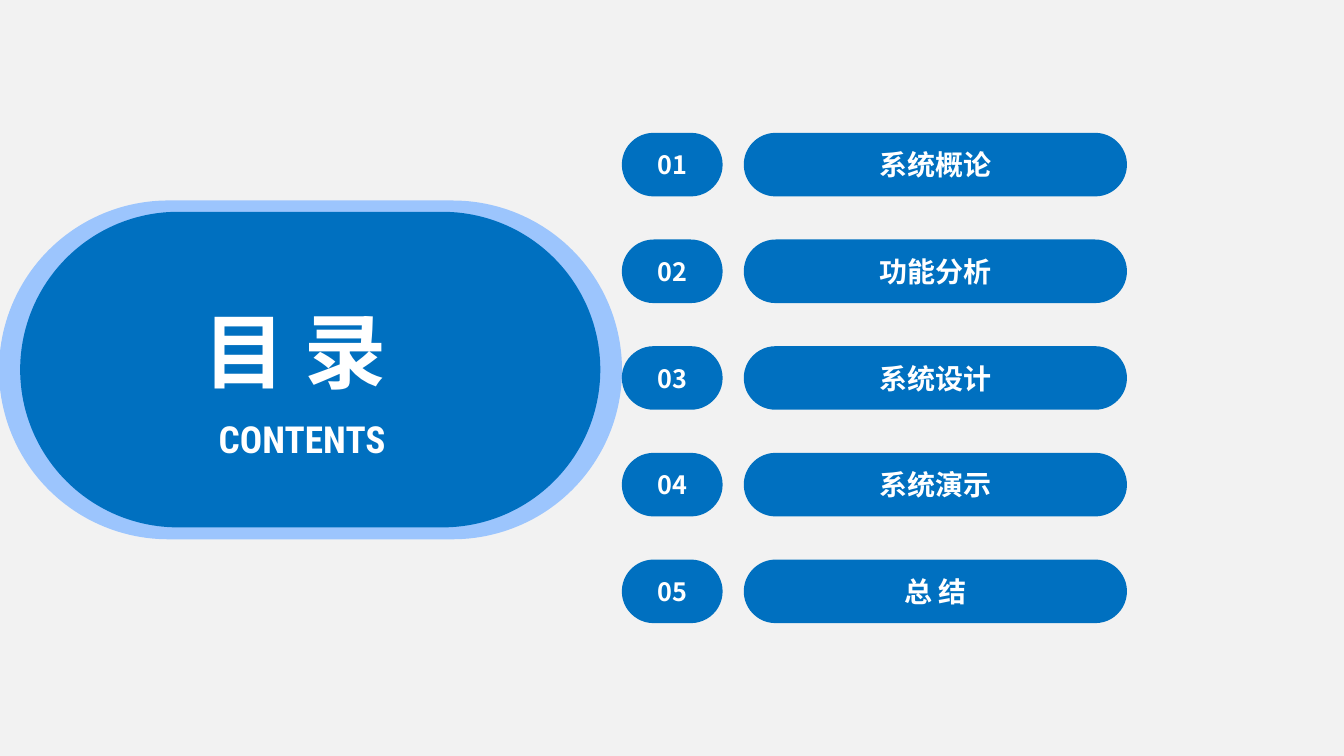
import pptx
import pptx.dml.color
import pptx.enum.shapes
import pptx.enum.text
import pptx.oxml.ns
import pptx.util
from lxml import etree

Pt = pptx.util.Pt
RGB = pptx.dml.color.RGBColor.from_string

THEME = {
    "background": RGB("F2F2F2"),
    "blue": RGB("0070C0"),
    "halo": RGB("9CC5FD"),
    "text": RGB("FFFFFF"),
    "chinese_font": "Noto Sans CJK SC",
    "latin_font": "Roboto Condensed",
    "title_size": 58.6,
    "subtitle_size": 26.6,
    "number_size": 18,
    "chapter_size": 20,
}


def add_pill(left, top, width, height, color):
    shape = slide.shapes.add_shape(
        pptx.enum.shapes.MSO_SHAPE.ROUNDED_RECTANGLE,
        Pt(left), Pt(top), Pt(width), Pt(height))
    shape.adjustments[0] = 0.5
    shape.shadow.inherit = False
    shape.fill.solid()
    shape.fill.fore_color.rgb = color
    shape.line.fill.background()
    return shape


def write_text(shape, text, size, font_name):
    paragraph = shape.text_frame.paragraphs[0]
    paragraph.alignment = pptx.enum.text.PP_ALIGN.CENTER
    run = paragraph.add_run()
    run.text = text
    run.font.size = Pt(size)
    run.font.bold = True
    run.font.color.rgb = THEME["text"]
    run.font.name = font_name
    east_asian = etree.SubElement(run.font._element, pptx.oxml.ns.qn("a:ea"))
    east_asian.set("typeface", font_name)


presentation = pptx.Presentation()
presentation.slide_width = Pt(960)
presentation.slide_height = Pt(540)
slide = presentation.slides.add_slide(presentation.slide_layouts[6])
slide.background.fill.solid()
slide.background.fill.fore_color.rgb = THEME["background"]

# Title panel with its pale rim
add_pill(-0.7, 143.2, 445, 242, THEME["halo"])
add_pill(14.4, 151.3, 414.4, 225.4, THEME["blue"])

# Numbered chapters
chapters = ["系统概论", "功能分析", "系统设计", "系统演示", "总 结"]
first_top, pitch, pill_height = 94.9, 76.2, 45.4
for index, chapter in enumerate(chapters):
    top = first_top + index * pitch
    for left, width, text, size in (
        (444.2, 72, f"{index + 1:02}", THEME["number_size"]),
        (531.3, 273.7, chapter, THEME["chapter_size"]),
    ):
        pill = add_pill(left, top, width, pill_height, THEME["blue"])
        pill.text_frame.vertical_anchor = pptx.enum.text.MSO_ANCHOR.MIDDLE
        write_text(pill, text, size, THEME["chinese_font"])

# Title and subtitle
for left, top, width, height, text, size, font_name in (
    (134.6, 293.8, 162.7, 39.6, "CONTENTS", THEME["subtitle_size"], THEME["latin_font"]),
    (135.4, 211, 150.5, 78.5, "目 录", THEME["title_size"], THEME["chinese_font"]),
):
    heading = slide.shapes.add_textbox(Pt(left), Pt(top), Pt(width), Pt(height))
    heading.text_frame.word_wrap = False
    heading.text_frame.auto_size = pptx.enum.text.MSO_AUTO_SIZE.SHAPE_TO_FIT_TEXT
    write_text(heading, text, size, font_name)

presentation.save("out.pptx")
